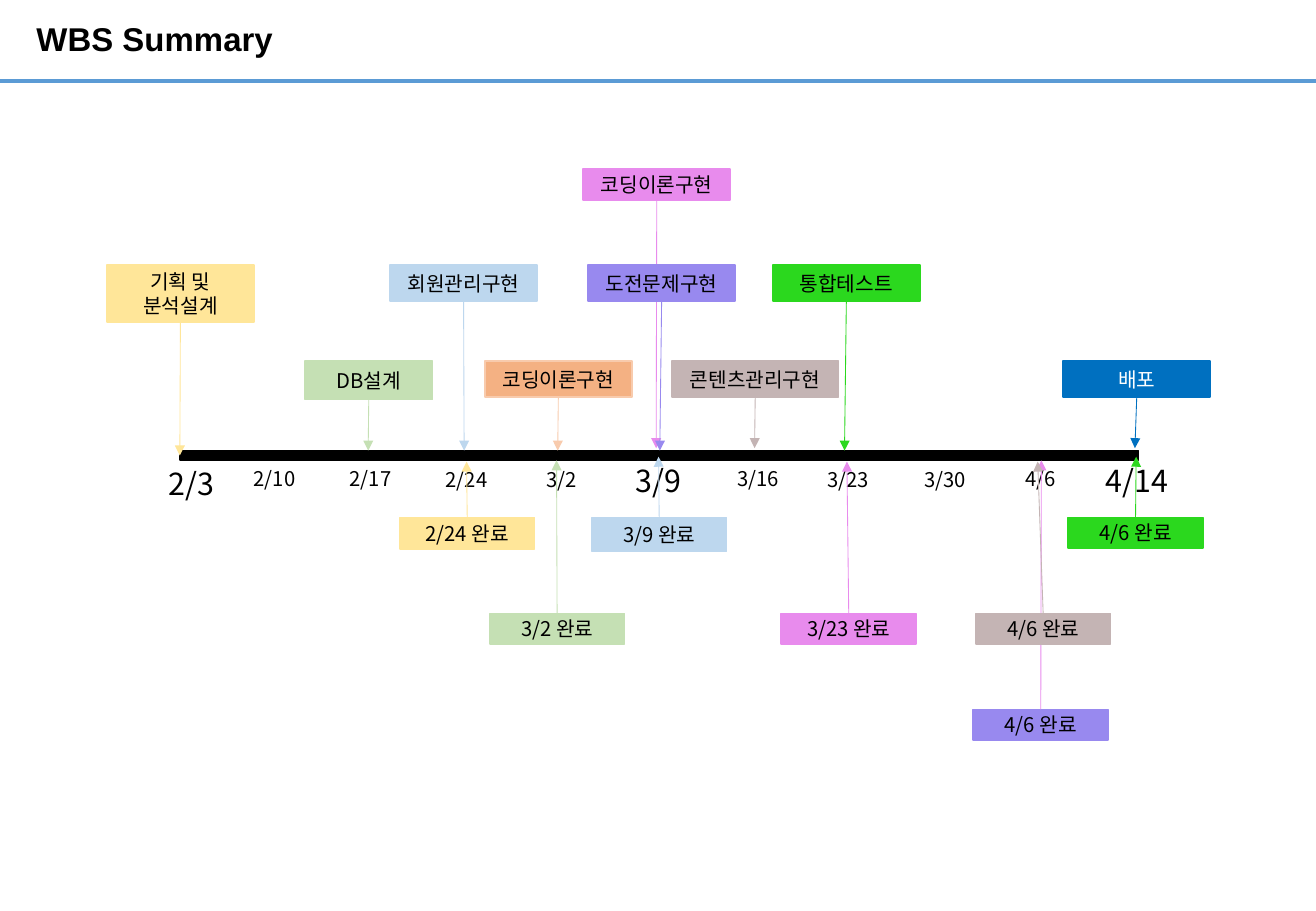
from typing import NamedTuple, Optional

from lxml.etree import SubElement
from pptx import Presentation
from pptx.dml.color import RGBColor
from pptx.enum.shapes import MSO_CONNECTOR, MSO_SHAPE
from pptx.enum.text import MSO_ANCHOR, MSO_AUTO_SIZE, PP_ALIGN
from pptx.oxml.ns import qn
from pptx.util import Pt

PX = 9144
SLIDE_WIDTH, SLIDE_HEIGHT = 1083, 750
BODY_FONT = "Noto Sans CJK KR"

BLACK = RGBColor(0x00, 0x00, 0x00)
WHITE = RGBColor(0xFF, 0xFF, 0xFF)
RULE_BLUE = RGBColor(0x5B, 0x9B, 0xD5)
YELLOW = RGBColor(0xFF, 0xE6, 0x99)
SAGE = RGBColor(0xC5, 0xE0, 0xB4)
SKY = RGBColor(0xBD, 0xD7, 0xEE)
ORANGE = RGBColor(0xF4, 0xB1, 0x83)
PEACH = RGBColor(0xF8, 0xCB, 0xAD)
PINK = RGBColor(0xE8, 0x8B, 0xED)
VIOLET = RGBColor(0x98, 0x89, 0xEF)
TAUPE = RGBColor(0xC4, 0xB4, 0xB4)
GREEN = RGBColor(0x2B, 0xD8, 0x1E)
DEPLOY_BLUE = RGBColor(0x00, 0x70, 0xC0)

ROW_PITCH = 79
START_ROWS = {1: -74, 2: -74 - ROW_PITCH, 3: -74 - 2 * ROW_PITCH}
DONE_ROWS = {-1: 55, -2: 55 + ROW_PITCH, -3: 55 + 2 * ROW_PITCH}
ROW_TOPS = START_ROWS | DONE_ROWS


class Milestone(NamedTuple):
    label: str
    left: int
    row: int
    width: int
    height: int
    tip_x: int
    tip_y: int
    fill: RGBColor
    outline: Optional[RGBColor] = None
    arrow: Optional[RGBColor] = None
    ink: RGBColor = BLACK


MILESTONES = [
    Milestone("기획 및 분석설계", -60, 2, 121, 47, 0, 4, YELLOW),
    Milestone("2/24 완료", 181, -1, 111, 26, 236, 9, YELLOW),
    Milestone("DB설계", 103, 1, 105, 32, 155, 0, SAGE),
    Milestone("3/2 완료", 255, -2, 111, 25, 310, 8, SAGE),
    Milestone("회원관리구현", 173, 2, 121, 30, 234, 0, SKY),
    Milestone("3/9 완료", 339, -1, 111, 28, 394, 5, SKY),
    Milestone("코딩이론구현", 251, 1, 121, 30, 311, 0, ORANGE, PEACH, PEACH),
    Milestone("코딩이론구현", 332, 3, 121, 26, 392, -2, PINK),
    Milestone("3/23 완료", 495, -2, 111, 25, 549, 9, PINK),
    Milestone("도전문제구현", 336, 2, 121, 30, 395, 0, VIOLET),
    Milestone("4/6 완료", 653, -3, 111, 25, 709, 8, VIOLET, arrow=PINK),
    Milestone("콘텐츠관리구현", 405, 1, 137, 30, 473, -2, TAUPE),
    Milestone("4/6 완료", 655, -2, 111, 25, 706, 9, TAUPE),
    Milestone("통합테스트", 488, 2, 121, 30, 547, 0, GREEN),
    Milestone("4/6 완료", 731, -1, 111, 25, 787, 5, GREEN),
    Milestone("배포", 727, 1, 121, 30, 786, -2, DEPLOY_BLUE, ink=WHITE),
]

MAJOR_DATES = [("2/3", -19, 7, 58), ("3/9", 365, 5, 58), ("4/14", 752, 5, 72)]
WEEK_DATES = [
    ("2/10", 51, 8, 55), ("2/17", 130, 8, 55), ("2/24", 209, 9, 55),
    ("3/2", 292, 9, 45), ("3/16", 449, 8, 55), ("3/23", 523, 9, 55),
    ("3/30", 603, 9, 55), ("4/6", 686, 8, 45),
]


def px(*lengths):
    return [round(length * PX) for length in lengths]


def set_font(paragraph, name, size, color, bold=False):
    font = paragraph.font
    font.size = Pt(size)
    font.bold = bold
    font.color.rgb = color
    font.name = name
    defaults = paragraph._p.pPr.find(qn("a:defRPr"))
    SubElement(defaults, qn("a:ea")).set("typeface", name)


def add_rectangle(slide, left, top, width, height, fill, outline):
    rectangle = slide.shapes.add_shape(MSO_SHAPE.RECTANGLE, *px(left, top, width, height))
    rectangle.shadow.inherit = False
    rectangle.fill.solid()
    rectangle.fill.fore_color.rgb = fill
    rectangle.line.color.rgb = outline
    rectangle.line.width = Pt(1)
    return rectangle


def add_line(slide, start_x, start_y, end_x, end_y, color, weight):
    line = slide.shapes.add_connector(MSO_CONNECTOR.STRAIGHT, *px(start_x, start_y, end_x, end_y))
    line.line.color.rgb = color
    line.line.width = Pt(weight)
    SubElement(line._element.spPr, qn("a:effectLst"))
    return line


def add_header(slide, left, top, width, height):
    add_line(slide, left, top + height, left + width, top + height, RULE_BLUE, 2.25)
    title = slide.shapes.add_textbox(*px(left + 30, top, 709, height + 1))
    frame = title.text_frame
    frame.word_wrap = True
    frame.vertical_anchor = MSO_ANCHOR.MIDDLE
    frame.margin_left = frame.margin_top = frame.margin_right = frame.margin_bottom = 0
    heading = frame.paragraphs[0]
    heading.text = "WBS Summary"
    heading.line_spacing = 0.9
    set_font(heading, "Arial", 19.5, BLACK, bold=True)


def add_date(slide, label, left, top, width, height, size):
    date = slide.shapes.add_textbox(*px(left, top, width, height))
    frame = date.text_frame
    frame.word_wrap = False
    frame.auto_size = MSO_AUTO_SIZE.SHAPE_TO_FIT_TEXT
    frame.paragraphs[0].text = label
    set_font(frame.paragraphs[0], BODY_FONT, size, BLACK)


def add_milestone(slide, axis_left, axis_top, milestone):
    left = axis_left + milestone.left
    top = axis_top + ROW_TOPS[milestone.row]
    card = add_rectangle(slide, left, top, milestone.width, milestone.height,
                         milestone.fill, milestone.outline or milestone.fill)
    frame = card.text_frame
    frame.word_wrap = True
    frame.vertical_anchor = MSO_ANCHOR.MIDDLE
    label = frame.paragraphs[0]
    label.text = milestone.label
    label.alignment = PP_ALIGN.CENTER
    set_font(label, BODY_FONT, 12, milestone.ink)

    arrow = add_line(slide, left, top, axis_left + milestone.tip_x, axis_top + milestone.tip_y,
                     milestone.arrow or milestone.fill, 0.5)
    arrow.begin_connect(card, 2 if milestone.row > 0 else 0)
    SubElement(arrow.line._get_or_add_ln(), qn("a:tailEnd")).set("type", "triangle")


def add_timeline(slide, left, top, width, height):
    for dates, label_height, size in ((MAJOR_DATES, 40, 18), (WEEK_DATES, 30, 12)):
        for label, offset_x, offset_y, label_width in dates:
            add_date(slide, label, left + offset_x, top + offset_y, label_width, label_height, size)
    add_rectangle(slide, left, top, width, height, BLACK, BLACK)
    for milestone in MILESTONES:
        add_milestone(slide, left, top, milestone)


def main():
    presentation = Presentation()
    presentation.slide_width, presentation.slide_height = px(SLIDE_WIDTH, SLIDE_HEIGHT)
    slide = presentation.slides.add_slide(presentation.slide_layouts[6])
    add_header(slide, 0, 0, SLIDE_WIDTH, 67)
    add_timeline(slide, 148, 371, 789, 8)
    presentation.save("out.pptx")


if __name__ == "__main__":
    main()
